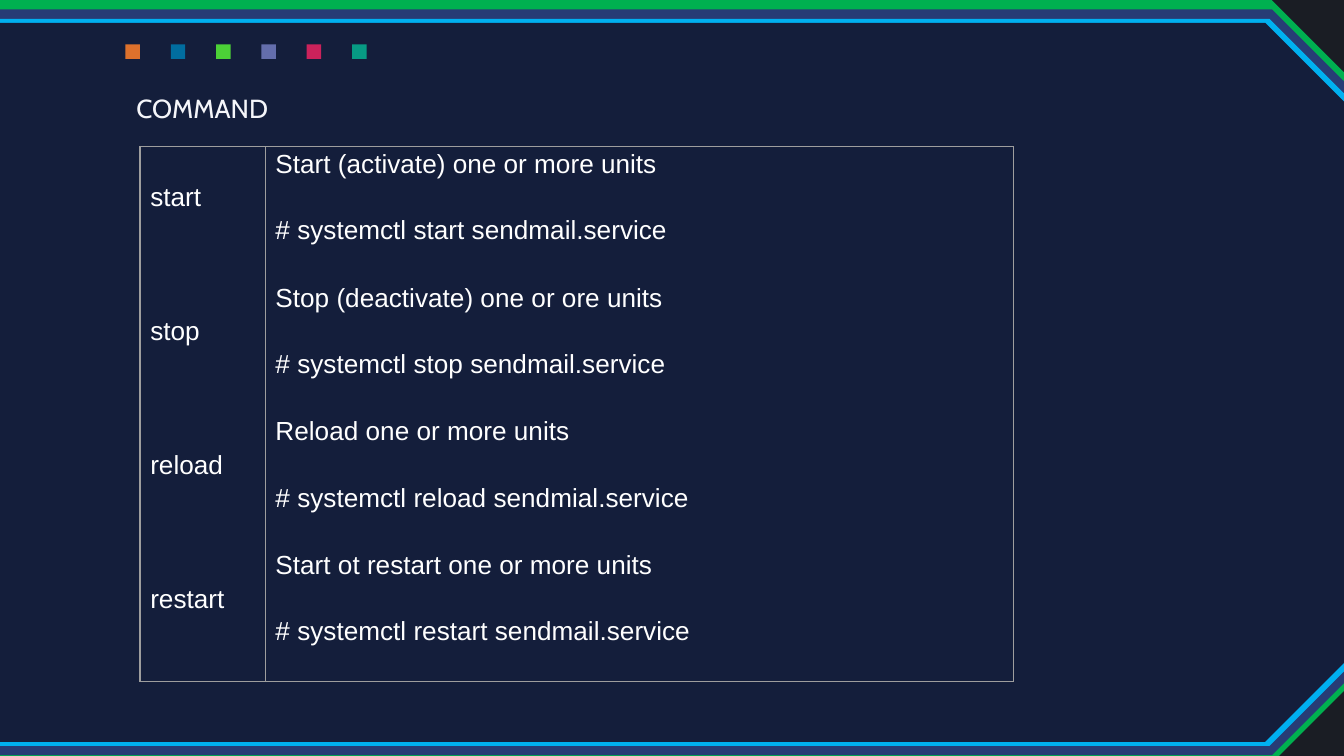
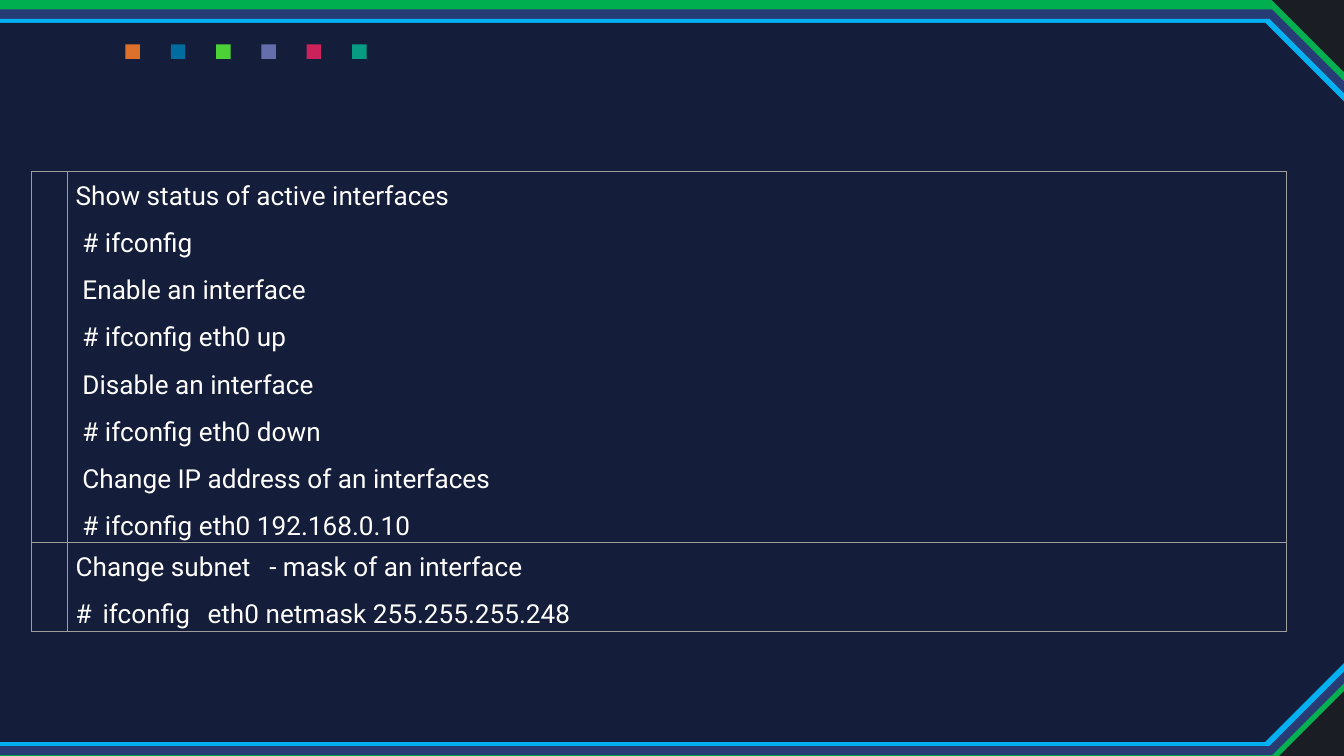
import pptx
import pptx.dml.color
import pptx.enum.shapes
import pptx.enum.text
import pptx.oxml.ns
import pptx.util
from lxml import etree

Pt = pptx.util.Pt
qn = pptx.oxml.ns.qn

SLIDE_WIDTH, SLIDE_HEIGHT = 720, 405
BACKGROUND = "1A1D24"
WHITE, TITLE_COLOUR, RULE_COLOUR = "FFFFFF", "F5F6FA", "9E9E9E"
TEXT_SIZE = 14
NO_STYLE_NO_GRID = "{2D5ABB26-0587-4C30-8999-92F81FD0307C}"

# Nested arrow plates: left, top, width, height, colour
PLATES = [
    (-4.3, 0, 890, 409, "00B050"),
    (-4.3, 5, 885.6, 399.6, "273C75"),
    (0, 10.1, 874.8, 389.5, "00B0F0"),
    (-5.8, 12.2, 876.2, 385.2, "141E3B"),
]
SQUARE_COLOURS = ["DD712C", "016D9F", "4CD137", "646EAC", "CB225B", "079B84"]

UNIT_COMMANDS = [
    ("start", ["Start (activate) one or more units",
               "# systemctl start sendmail.service"]),
    ("stop", ["Stop (deactivate) one or ore units",
              "# systemctl stop sendmail.service"]),
    ("reload", ["Reload one or more units",
                "# systemctl reload sendmial.service"]),
    ("restart", ["Start ot restart one or more units",
                 "# systemctl restart sendmail.service"]),
]
INTERFACE_LINES = [
    "Show status of active interfaces",
    "# ifconfig",
    "Enable an interface",
    "# ifconfig eth0 up",
    "Disable an interface",
    "# ifconfig eth0 down",
    "Change IP address of an interfaces",
    "# ifconfig eth0 192.168.0.10",
]
NETMASK_LINES = [
    "Change subnet\t- mask of an interface",
    "#\tifconfig\teth0 netmask 255.255.255.248",
]
NETMASK_TABS = [[103.7], [14.4, 70.6]]


def colour(hex_string):
    return pptx.dml.color.RGBColor.from_string(hex_string)


def add_filled_shape(slide, preset, box, fill):
    shape = slide.shapes.add_shape(preset, *map(Pt, box))
    shape.shadow.inherit = False
    shape.fill.solid()
    shape.fill.fore_color.rgb = colour(fill)
    shape.line.fill.background()


def format_runs(paragraph, font_name, font_colour):
    for run in paragraph.runs:
        run.font.name = font_name
        run.font.size = Pt(TEXT_SIZE)
        run.font.bold = False
        run.font.color.rgb = colour(font_colour)


# Shared frame
def add_frame(slide):
    shapes = pptx.enum.shapes.MSO_SHAPE
    for *box, fill in PLATES:
        add_filled_shape(slide, shapes.PENTAGON, box, fill)
    for index, fill in enumerate(SQUARE_COLOURS):
        box = (67.2 + index * 24.28, 23.8, 7.8, 7.8)
        add_filled_shape(slide, shapes.RECTANGLE, box, fill)


def set_title(slide, text, box):
    title = slide.shapes.title
    title.left, title.top, title.width, title.height = map(Pt, box)
    frame = title.text_frame
    frame.text = text
    frame.margin_left = frame.margin_right = 0
    frame.margin_top = frame.margin_bottom = 0
    frame.vertical_anchor = pptx.enum.text.MSO_ANCHOR.MIDDLE
    frame.paragraphs[0].alignment = pptx.enum.text.PP_ALIGN.LEFT
    format_runs(frame.paragraphs[0], "Cabin", TITLE_COLOUR)
    # Bring the title in front of the plates
    title.element.getparent().append(title.element)


# Tables
def set_borders(cell, sides):
    properties = cell._tc.get_or_add_tcPr()
    for position, side in enumerate(sides):
        line = etree.Element(qn("a:ln" + side), w=str(Pt(0.75)))
        fill = etree.SubElement(line, qn("a:solidFill"))
        etree.SubElement(fill, qn("a:srgbClr"), val=RULE_COLOUR)
        properties.insert(position, line)


def add_ruled_table(slide, box, column_widths, row_heights, inner_rules):
    row_count = len(row_heights)
    table = slide.shapes.add_table(
        row_count, len(column_widths), *map(Pt, box)).table
    table._tbl.tblPr.find(qn("a:tableStyleId")).text = NO_STYLE_NO_GRID
    table.first_row = table.horz_banding = False
    for column, width in zip(table.columns, column_widths):
        column.width = Pt(width)
    for index, (row, height) in enumerate(zip(table.rows, row_heights)):
        row.height = Pt(height)
        sides = ["L", "R"]
        if inner_rules or index == 0:
            sides.append("T")
        if inner_rules or index == row_count - 1:
            sides.append("B")
        for cell in row.cells:
            cell.fill.background()
            set_borders(cell, sides)
    return table


def fill_cell(cell, lines, font_name, left, top, gap=0):
    cell.margin_left, cell.margin_top = Pt(left), Pt(top)
    cell.margin_right = cell.margin_bottom = 0
    frame = cell.text_frame
    frame.text = "\n".join(lines)
    for index, paragraph in enumerate(frame.paragraphs):
        if index:
            paragraph.space_before = Pt(gap)
        format_runs(paragraph, font_name, WHITE)
    return frame.paragraphs


def set_tabs(paragraph, positions):
    tab_list = etree.SubElement(
        paragraph._p.get_or_add_pPr(), qn("a:tabLst"))
    for position in positions:
        etree.SubElement(tab_list, qn("a:tab"),
                         pos=str(Pt(position)), algn="l")


def add_unit_table(slide, box):
    left, top, width, height = box
    label_width = 67.4
    row_height = height / len(UNIT_COMMANDS)
    table = add_ruled_table(
        slide, box, [label_width, width - label_width],
        [row_height] * len(UNIT_COMMANDS), inner_rules=False)
    for row, (label, lines) in zip(table.rows, UNIT_COMMANDS):
        fill_cell(row.cells[0], [label], "Arial", left=5.5, top=19.5)
        fill_cell(row.cells[1], lines, "Arial", left=5.2, top=1.5, gap=19.8)


def add_interface_table(slide, box):
    left, top, width, height = box
    margin_width, netmask_height = 19.6, 47.6
    table = add_ruled_table(
        slide, box, [margin_width, width - margin_width],
        [height - netmask_height, netmask_height], inner_rules=True)
    cell_style = {"font_name": "Roboto", "left": 4.3, "top": 5, "gap": 8.7}
    paragraphs = fill_cell(table.cell(0, 1), INTERFACE_LINES, **cell_style)
    for paragraph in paragraphs[1:]:
        paragraph._p.get_or_add_pPr().set("marL", str(Pt(3.6)))
    paragraphs = fill_cell(table.cell(1, 1), NETMASK_LINES, **cell_style)
    for paragraph, positions in zip(paragraphs, NETMASK_TABS):
        set_tabs(paragraph, positions)


# Slides
def build_unit_slide(presentation):
    slide = presentation.slides.add_slide(presentation.slide_layouts[5])
    add_frame(slide)
    set_title(slide, "COMMAND", (73, 47, 400, 22))
    add_unit_table(slide, (75, 78.7, 467.8, 286.6))


def build_interface_slide(presentation):
    slide = presentation.slides.add_slide(presentation.slide_layouts[6])
    add_frame(slide)
    add_interface_table(slide, (16.7, 92, 672.6, 246.4))


def main():
    presentation = pptx.Presentation()
    presentation.slide_width = Pt(SLIDE_WIDTH)
    presentation.slide_height = Pt(SLIDE_HEIGHT)
    background = presentation.slide_master.background.fill
    background.solid()
    background.fore_color.rgb = colour(BACKGROUND)
    build_unit_slide(presentation)
    build_interface_slide(presentation)
    presentation.save("out.pptx")


if __name__ == "__main__":
    main()
